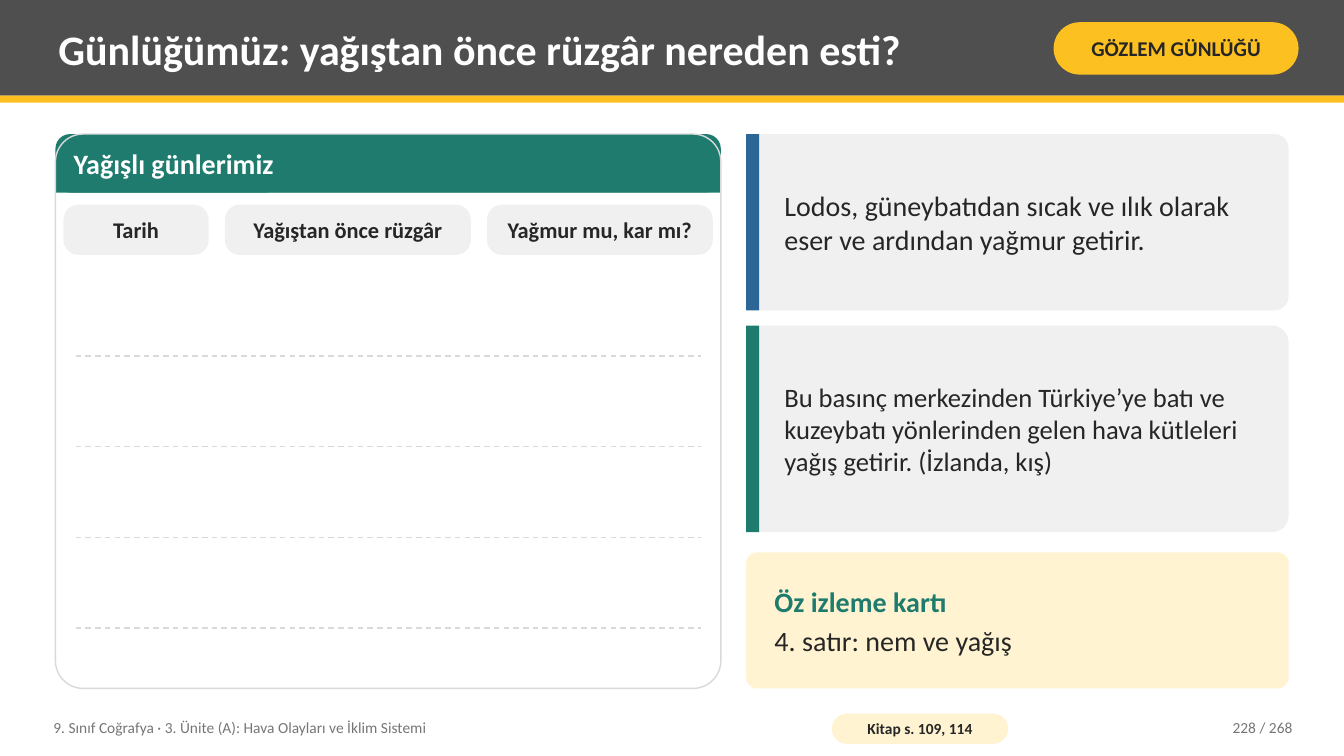
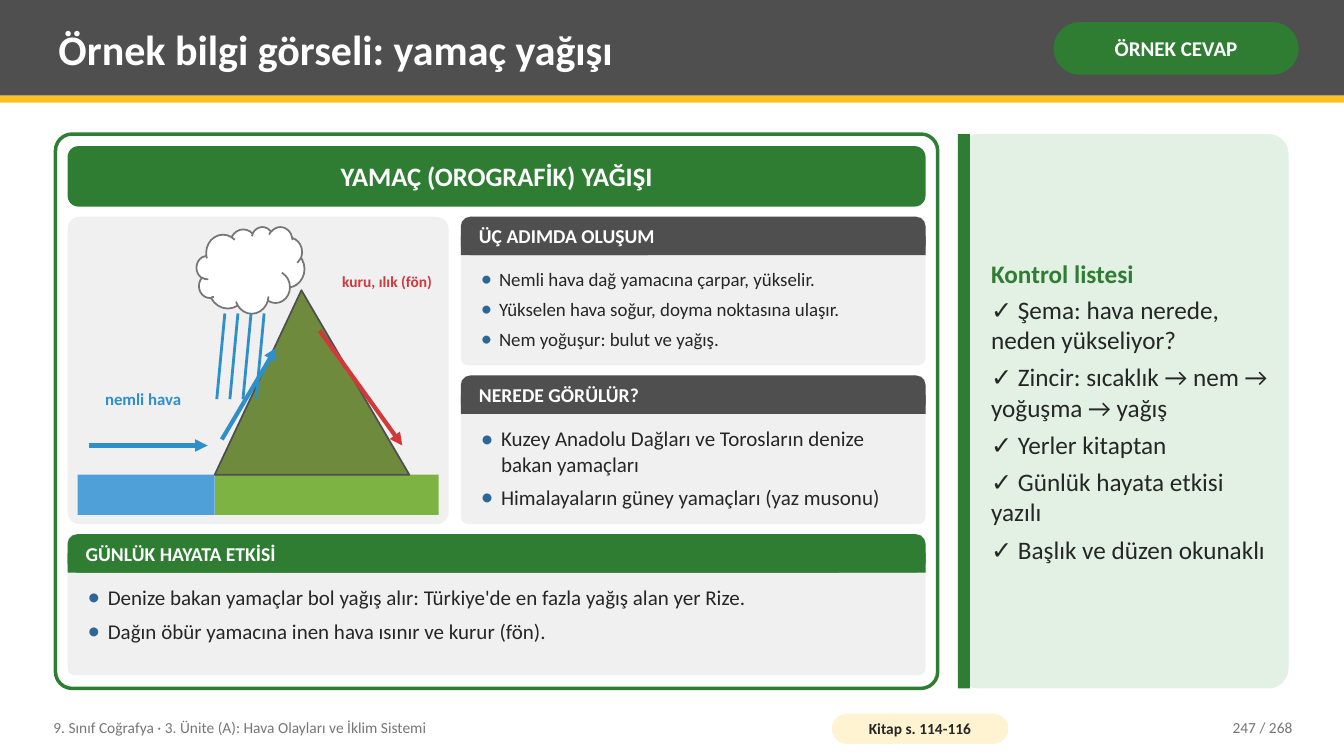
"""Builds two geography lesson slides: a weather diary and a sample infographic."""
from lxml import etree
from pptx import Presentation, util as u
from pptx.dml.color import RGBColor
from pptx.enum import dml, shapes, text
from pptx.oxml.ns import qn

COLORS = {
    "band": "4F4F4F", "gold": "FCC021", "cream": "FFF3D1", "white": "FFFFFF",
    "ink": "262626", "muted": "767676", "card": "F0F0F0", "rule": "D9D9D9",
    "teal": "1E7B6E", "blue": "2C6696", "green": "2E7D32", "mint": "E3F1E4",
    "sea": "4F9FD8", "grass": "7CB342", "hill": "6E8B3D", "moist": "2F8FC9", "dry": "D3373A",
}
FONT = "Calibri"
WIDTH, HEIGHT = 13.33, 7.5
LEFT, RIGHT, TOP, BOTTOM = 0.55, 12.78, 1.33, 6.83
BODY = BOTTOM - TOP
FOOTER = "9. Sınıf Coğrafya · 3. Ünite (A): Hava Olayları ve İklim Sistemi"
PAGE_TOTAL = 268

DIARY = {"title": "Günlüğümüz: yağıştan önce rüzgâr nereden esti?", "tag": "GÖZLEM GÜNLÜĞÜ",
         "tag_fill": "gold", "tag_ink": "ink", "book": "Kitap s. 109, 114", "number": 228}
DIARY_COLUMNS = [("Tarih", 1.44), ("Yağıştan önce rüzgâr", 2.44), ("Yağmur mu, kar mı?", 2.24)]
DIARY_NOTES = [
    ("Lodos, güneybatıdan sıcak ve ılık olarak eser ve ardından yağmur getirir.",
     20, "blue", TOP, 1.75),
    ("Bu basınç merkezinden Türkiye’ye batı ve kuzeybatı yönlerinden gelen hava kütleleri "
     "yağış getirir. (İzlanda, kış)", 19, "teal", 3.23, 2.05),
]

SAMPLE = {"title": "Örnek bilgi görseli: yamaç yağışı", "tag": "ÖRNEK CEVAP",
          "tag_fill": "green", "tag_ink": "white", "book": "Kitap s. 114-116", "number": 247}
STEPS = ["Nemli hava dağ yamacına çarpar, yükselir.",
         "Yükselen hava soğur, doyma noktasına ulaşır.",
         "Nem yoğuşur: bulut ve yağış."]
PLACES = ["Kuzey Anadolu Dağları ve Torosların denize bakan yamaçları",
          "Himalayaların güney yamaçları (yaz musonu)"]
EFFECTS = ["Denize bakan yamaçlar bol yağış alır: Türkiye'de en fazla yağış alan yer Rize.",
           "Dağın öbür yamacına inen hava ısınır ve kurur (fön)."]
CHECKS = ["✓ Şema: hava nerede, neden yükseliyor?",
          "✓ Zincir: sıcaklık → nem → yoğuşma → yağış",
          "✓ Yerler kitaptan", "✓ Günlük hayata etkisi yazılı", "✓ Başlık ve düzen okunaklı"]

KINDS = shapes.MSO_SHAPE
ALIGNS = {"left": text.PP_ALIGN.LEFT, "center": text.PP_ALIGN.CENTER, "right": text.PP_ALIGN.RIGHT}


def rgb(name):
    return RGBColor.from_string(COLORS[name])


def inches(values):
    return [u.Inches(value) for value in values]


def line(words, size, color="ink", bold=False, align="left", after=0, bullet=0):
    return {"words": words, "size": size, "color": color, "bold": bold,
            "align": align, "after": after, "bullet": bullet}


def add_bullet(para, indent):
    settings = para._p.get_or_add_pPr()
    settings.set("marL", str(u.Inches(indent)))
    settings.set("indent", str(-u.Inches(indent)))
    tint = etree.SubElement(settings, qn("a:buClr"))
    etree.SubElement(tint, qn("a:srgbClr"), val=COLORS["blue"])
    etree.SubElement(settings, qn("a:buSzPct"), val="120000")
    etree.SubElement(settings, qn("a:buFont"), typeface=FONT)
    etree.SubElement(settings, qn("a:buChar"), char="•")


def write(box, lines, inset=(0.08, 0.04), anchor=text.MSO_ANCHOR.MIDDLE):
    frame = box.text_frame
    frame.word_wrap = True
    frame.vertical_anchor = anchor
    frame.margin_left = frame.margin_right = u.Inches(inset[0])
    frame.margin_top = frame.margin_bottom = u.Inches(inset[1])
    for index, item in enumerate(lines):
        para = frame.paragraphs[0] if index == 0 else frame.add_paragraph()
        if item["bullet"]:
            add_bullet(para, item["bullet"])
        para.alignment = ALIGNS[item["align"]]
        para.space_after = u.Pt(item["after"] if index < len(lines) - 1 else 0)
        span = para.add_run()
        span.text = item["words"]
        span.font.name, span.font.size = FONT, u.Pt(item["size"])
        span.font.bold, span.font.color.rgb = item["bold"], rgb(item["color"])


def add_text(page, area, lines, **options):
    write(page.shapes.add_textbox(*inches(area)), lines, **options)


def paint(shape, fill=None, outline=None, weight=1):
    shape.shadow.inherit = False
    if fill:
        shape.fill.solid()
        shape.fill.fore_color.rgb = rgb(fill)
    else:
        shape.fill.background()
    if outline:
        shape.line.color.rgb = rgb(outline)
        shape.line.width = u.Pt(weight)
    else:
        shape.line.fill.background()


def add_block(page, area, fill=None, round_by=0, kind=None, **outline):
    kind = kind or (KINDS.ROUNDED_RECTANGLE if round_by else KINDS.RECTANGLE)
    block = page.shapes.add_shape(kind, *inches(area))
    if round_by:
        block.adjustments[0] = round_by
    paint(block, fill, **outline)
    return block


def add_line(page, start, end, color, weight, dashed=False, arrow=False):
    stroke = page.shapes.add_connector(shapes.MSO_CONNECTOR.STRAIGHT, *inches(start + end))
    stroke.line.color.rgb, stroke.line.width = rgb(color), u.Pt(weight)
    if dashed:
        stroke.line.dash_style = dml.MSO_LINE.DASH
    if arrow:
        etree.SubElement(stroke.line._get_or_add_ln(), qn("a:tailEnd"), type="triangle")
    etree.SubElement(stroke._element.spPr, qn("a:effectLst"))


def add_header(page, left, top, width, height, color, words, size):
    add_block(page, (left, top, width, height), color, 0.25)
    add_block(page, (left, top + height / 2, width, height / 2), color)
    add_text(page, (left + 0.1, top, width - 0.2, height), [line(words, size, "white", True)])


def add_panel(page, area, color, heading, items, size):
    left, top, width, height = area
    header = 0.38
    add_block(page, area, "card", 0.05)
    add_header(page, left, top, width, header, color, heading, 14)
    lines = [line(item, size, after=0.4 * size, bullet=round(size / 75, 2)) for item in items]
    add_text(page, (left + 0.12, top + header + 0.08, width - 0.24, height - header - 0.16),
             lines, anchor=text.MSO_ANCHOR.TOP)


def add_accent_card(page, area, fill, accent, round_by, bar):
    add_block(page, area, fill, round_by)
    add_block(page, (*area[:2], bar, area[3]), accent)


def add_page(deck, info):
    page = deck.slides.add_slide(deck.slide_layouts[6])
    add_block(page, (0, 0, WIDTH, 0.95), "band")
    add_block(page, (0, 0.95, WIDTH, 0.07), "gold")
    add_text(page, (0.5, 0.07, 9.75, 0.82), [line(info["title"], 30, "white", True)])
    tag = add_block(page, (10.45, 0.22, 2.43, 0.52), info["tag_fill"], 0.5)
    write(tag, [line(info["tag"], 15, info["tag_ink"], True, "center")], (0.05, 0.02))
    add_text(page, (0.45, 7.04, 7.6, 0.36), [line(FOOTER, 11, "muted")])
    book = add_block(page, (8.25, 7.08, 1.75, 0.3), "cream", 0.5)
    write(book, [line(info["book"], 11, bold=True, align="center")], (0.04, 0))
    number = f"{info['number']} / {PAGE_TOTAL}"
    add_text(page, (11.3, 7.04, 1.6, 0.36), [line(number, 11, "muted", align="right")])
    return page


def build_diary(deck):
    page = add_page(deck, DIARY)
    diary = (LEFT, TOP, 6.6, BODY)
    add_block(page, diary, "white", 0.05)
    add_header(page, LEFT, TOP, 6.6, 0.58, "teal", "Yağışlı günlerimiz", 20)
    add_block(page, diary, None, 0.05, outline="rule")
    left = LEFT + 0.08
    for heading, width in DIARY_COLUMNS:
        cell = add_block(page, (left, 2.03, width, 0.5), "card", 0.3)
        write(cell, [line(heading, 16, bold=True, align="center")], (0.06, 0))
        left += width + 0.16
    for row in range(4):
        y = 3.53 + 0.9 * row
        add_line(page, (0.75, y), (6.95, y), "rule", 1, dashed=True)

    left = 7.4
    width = RIGHT - left
    for words, size, accent, top, height in DIARY_NOTES:
        add_accent_card(page, (left, top, width, height), "card", accent, 0.08, 0.13)
        add_text(page, (left + 0.3, top, width - 0.45, height), [line(words, size)])
    card = add_block(page, (left, BOTTOM - 1.35, width, 1.35), "cream", 0.08)
    write(card, [line("Öz izleme kartı", 20, "teal", True, after=4),
                 line("4. satır: nem ve yağış", 20)], (0.25, 0.08))


def draw_slope_rain(page, area):
    add_block(page, area, "card", 0.04)
    ground = 4.71
    add_block(page, (0.77, ground, 1.36, 0.4), "sea")
    add_block(page, (2.13, ground, 2.22, 0.4), "grass")
    foot, peak, lee = (inches(point) for point in ((2.13, ground), (2.99, 2.88), (4.06, ground)))
    outline = page.shapes.build_freeform(*foot)
    outline.add_line_segments([peak, lee], close=True)
    paint(outline.convert_to_shape(), "hill", "band", 1.25)
    add_line(page, (0.88, 4.42), (2.06, 4.42), "moist", 3, arrow=True)
    add_line(page, (2.2, 4.36), (2.74, 3.45), "moist", 3, arrow=True)
    add_block(page, (1.95, 2.25, 1.07, 0.86), "white", kind=KINDS.CLOUD,
              outline="muted", weight=1.25)
    for drop in range(4):
        x = 2.23 + 0.13 * drop
        add_line(page, (x, 3.11), (x - 0.08, 3.96), "moist", 2)
    add_line(page, (3.17, 3.28), (3.99, 4.42), "dry", 3, arrow=True)
    add_text(page, (0.81, 3.73, 1.22, 0.46),
             [line("nemli hava", 12, "moist", True, "center")], inset=(0.02, 0))
    add_text(page, (3.34, 2.48, 1, 0.63),
             [line("kuru, ılık (fön)", 11, "dry", True, "center")], inset=(0.02, 0))


def build_sample(deck):
    page = add_page(deck, SAMPLE)
    add_block(page, (LEFT, TOP, 8.75, BODY), "white", 0.03, outline="green", weight=2.5)
    pad, gap = 0.12, 0.1
    left, width = LEFT + pad, 8.75 - 2 * pad
    banner = add_block(page, (left, TOP + pad, width, 0.6), "green", 0.18)
    write(banner, [line("YAMAÇ (OROGRAFİK) YAĞIŞI", 19, "white", True, "center")], (0.1, 0.02))

    top, middle, scene = 2.15, 3.05, 3.78
    draw_slope_rain(page, (left, top, scene, middle))
    side = left + scene + pad
    side_width = left + width - side
    half = (middle - gap) / 2
    panels = [("ÜÇ ADIMDA OLUŞUM", STEPS, 13.5), ("NEREDE GÖRÜLÜR?", PLACES, 15)]
    for row, (heading, items, size) in enumerate(panels):
        area = (side, top + row * (half + gap), side_width, half)
        add_panel(page, area, "band", heading, items, size)
    add_panel(page, (left, top + middle + gap, width, 1.4), "green",
              "GÜNLÜK HAYATA ETKİSİ", EFFECTS, 15)

    add_accent_card(page, (9.5, TOP, RIGHT - 9.5, BODY), "mint", "green", 0.06, 0.12)
    checks = [line("Kontrol listesi", 18, "green", True, after=4)]
    checks += [line(item, 18, after=5) for item in CHECKS]
    add_text(page, (9.75, TOP + 0.06, 2.93, BODY - 0.12), checks)


def main():
    deck = Presentation()
    deck.slide_width, deck.slide_height = inches((WIDTH, HEIGHT))
    build_diary(deck)
    build_sample(deck)
    deck.save("out.pptx")


if __name__ == "__main__":
    main()
